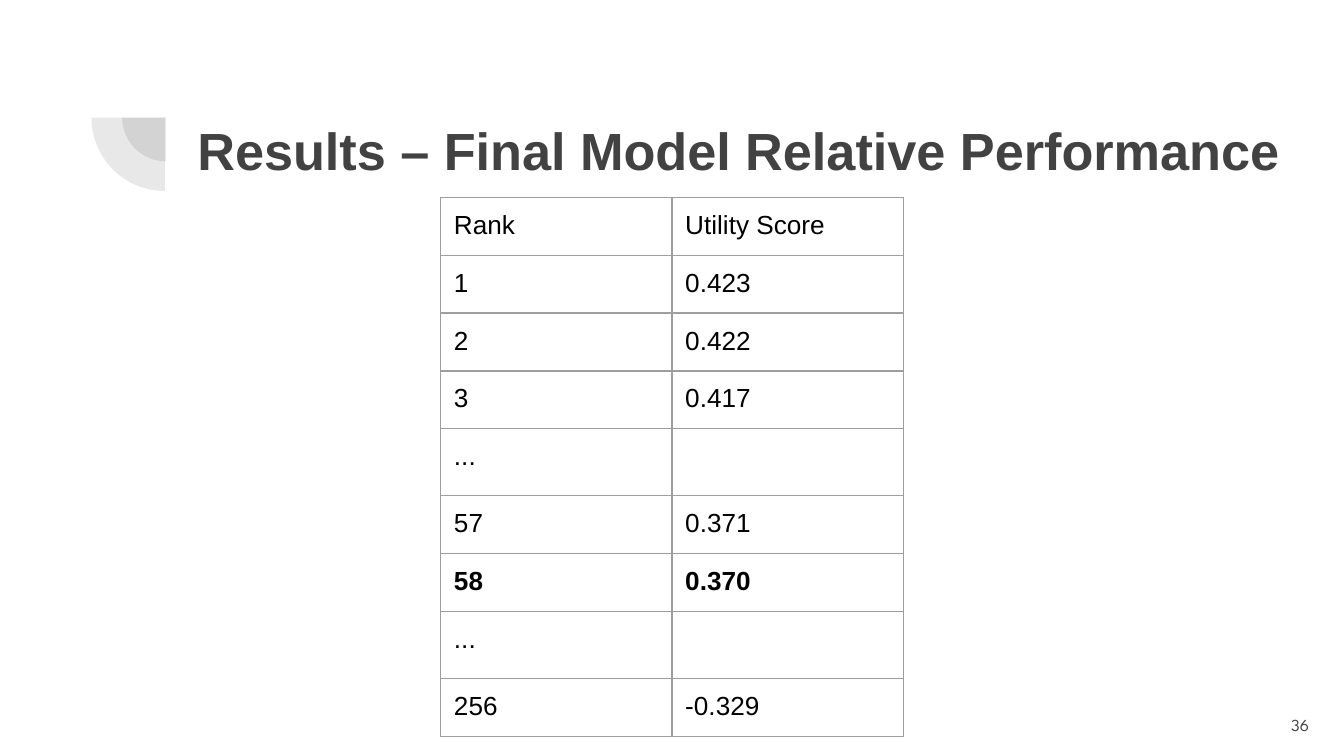
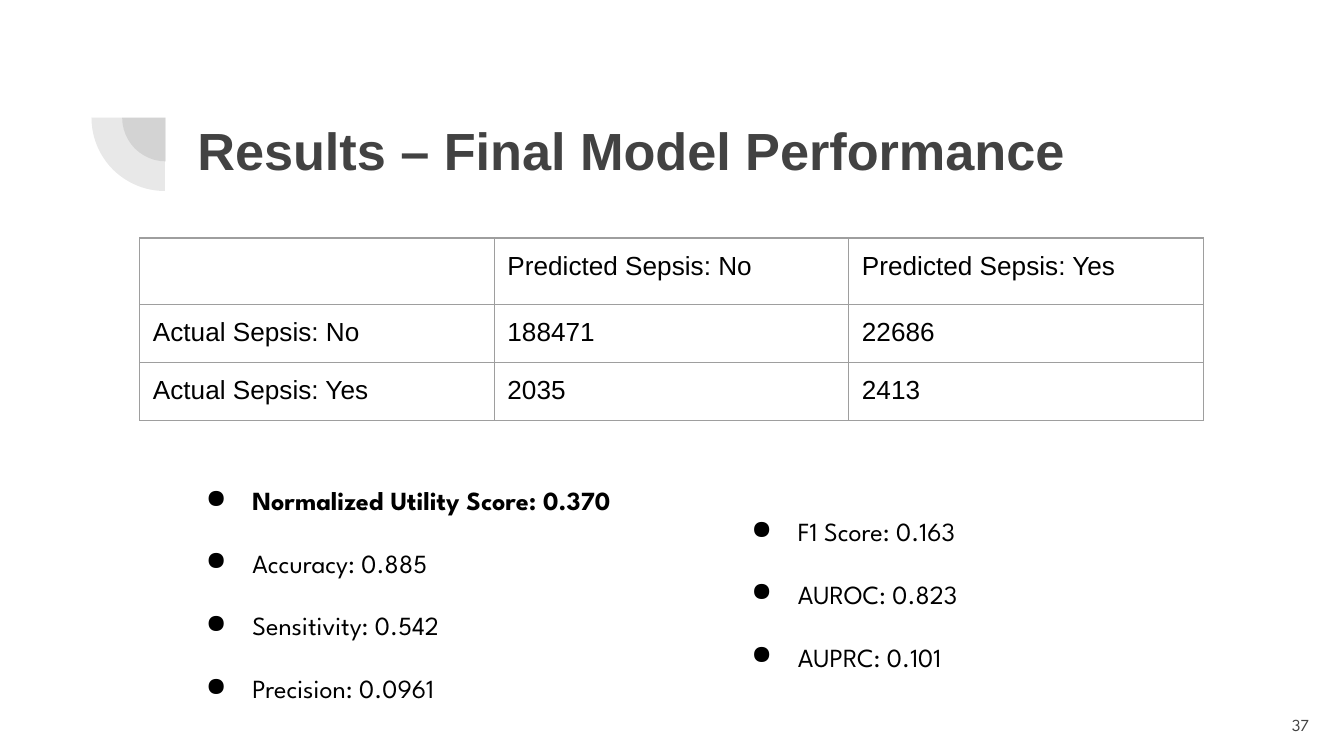
from lxml import etree
from pptx import Presentation
from pptx.dml.color import RGBColor
from pptx.enum.shapes import MSO_SHAPE
from pptx.enum.text import MSO_ANCHOR, PP_ALIGN
from pptx.oxml.ns import qn
from pptx.util import Cm, Pt

PIE = MSO_SHAPE.PIE
MIDDLE = MSO_ANCHOR.MIDDLE
RIGHT = PP_ALIGN.RIGHT

COLORS = {"accent": "424242", "text": "000000", "border": "9E9E9E"}
SANS = "Arial"
DISPLAY = "League Spartan"
INSET = Cm(0.25)
ROW_HEIGHT = 1.06
EMPTY_ROW_HEIGHT = 1.21

RANKS = [
    ["Rank", "Utility Score"],
    ["1", "0.423"],
    ["2", "0.422"],
    ["3", "0.417"],
    ["...", ""],
    ["57", "0.371"],
    ["58", "0.370"],
    ["...", ""],
    ["256", "-0.329"],
]
CONFUSION = [
    ["", "Predicted Sepsis: No", "Predicted Sepsis: Yes"],
    ["Actual Sepsis: No", "188471", "22686"],
    ["Actual Sepsis: Yes", "2035", "2413"],
]
SCORES = [
    "Normalized Utility Score: 0.370",
    "Accuracy: 0.885",
    "Sensitivity: 0.542",
    "Precision: 0.0961",
]
CURVE_SCORES = ["F1 Score: 0.163", "AUROC: 0.823", "AUPRC: 0.101"]


def style_runs(p, size, font, color="text", bold=False):
    for r in p.runs:
        r.font.size = Pt(size)
        r.font.name = font
        r.font.bold = bold
        r.font.color.rgb = RGBColor.from_string(COLORS[color])


def set_insets(item):
    item.margin_left = item.margin_right = INSET
    item.margin_top = item.margin_bottom = INSET


def add_text(slide, left, top, width, height, text):
    box = slide.shapes.add_textbox(Cm(left), Cm(top), Cm(width), Cm(height))
    tf = box.text_frame
    tf.word_wrap = True
    set_insets(tf)
    tf.text = text
    return tf


def add_quarter(slide, left, top, size):
    sp = slide.shapes.add_shape(PIE, Cm(left), Cm(top), Cm(size), Cm(size))
    sp.rotation = 270
    sp.adjustments[0] = 108
    sp.adjustments[1] = 162
    sp.shadow.inherit = False
    sp.fill.solid()
    sp.fill.fore_color.rgb = RGBColor.from_string(COLORS["accent"])
    color = sp.fill._xPr.find(".//" + qn("a:srgbClr"))
    etree.SubElement(color, qn("a:alpha"), val="12000")
    sp.line.fill.background()


def add_base(prs, title, number):
    slide = prs.slides.add_slide(prs.slide_layouts[6])
    add_quarter(slide, 2.31, 1.4, 1.65)
    add_quarter(slide, 1.73, 0.84, 2.77)
    tf = add_text(slide, 3.48, 1.98, 21.92, 2.77, title)
    style_runs(tf.paragraphs[0], 28, SANS, "accent", True)
    tf = add_text(slide, 23.47, 13.16, 1.52, 1.09, str(number))
    tf.vertical_anchor = MIDDLE
    p = tf.paragraphs[0]
    p.alignment = RIGHT
    style_runs(p, 9, DISPLAY, "accent")
    return slide


def set_borders(cell):
    tc_pr = cell._tc.get_or_add_tcPr()
    for i, side in enumerate(("a:lnL", "a:lnR", "a:lnT", "a:lnB")):
        ln = etree.Element(qn(side), w=str(Pt(0.75)))
        fill = etree.SubElement(ln, qn("a:solidFill"))
        etree.SubElement(fill, qn("a:srgbClr"), val=COLORS["border"])
        tc_pr.insert(i, ln)


def add_table(slide, left, top, col_width, rows, bold_row=None):
    heights = [ROW_HEIGHT if all(row) else EMPTY_ROW_HEIGHT for row in rows]
    cols = len(rows[0])
    table = slide.shapes.add_table(
        len(rows), cols, Cm(left), Cm(top), Cm(cols * col_width), Cm(sum(heights))
    ).table
    table.first_row = False
    table.horz_banding = False
    for col in table.columns:
        col.width = Cm(col_width)
    for i, values in enumerate(rows):
        table.rows[i].height = Cm(heights[i])
        for j, value in enumerate(values):
            cell = table.cell(i, j)
            set_insets(cell)
            cell.fill.background()
            set_borders(cell)
            cell.text = value
            style_runs(cell.text_frame.paragraphs[0], 14, SANS, bold=i == bold_row)


def add_bullets(slide, left, top, height, items, bold_item=None):
    tf = add_text(slide, left, top, 9.19, height, "\n".join(items))
    for p, item in zip(tf.paragraphs, items):
        p.line_spacing = 2.0
        p_pr = p._p.get_or_add_pPr()
        p_pr.set("marL", str(Cm(1.27)))
        p_pr.set("indent", str(Cm(-0.88)))
        color = etree.SubElement(p_pr, qn("a:buClr"))
        etree.SubElement(color, qn("a:srgbClr"), val=COLORS["text"])
        etree.SubElement(p_pr, qn("a:buChar"), char="●")
        style_runs(p, 14, DISPLAY, bold=item == bold_item)


def main():
    prs = Presentation()
    prs.slide_width = Cm(25.4)
    prs.slide_height = Cm(14.29)

    slide = add_base(prs, "Results – Final Model Relative Performance", 36)
    add_table(slide, 8.33, 3.73, 4.37, RANKS, bold_row=6)

    slide = add_base(prs, "Results – Final Model Performance", 37)
    add_table(slide, 2.64, 4.5, 6.7, CONFUSION)
    add_bullets(slide, 3.25, 8.31, 4.29, SCORES, bold_item=SCORES[0])
    add_bullets(slide, 13.56, 8.9, 3.7, CURVE_SCORES)

    prs.save("out.pptx")


if __name__ == "__main__":
    main()
